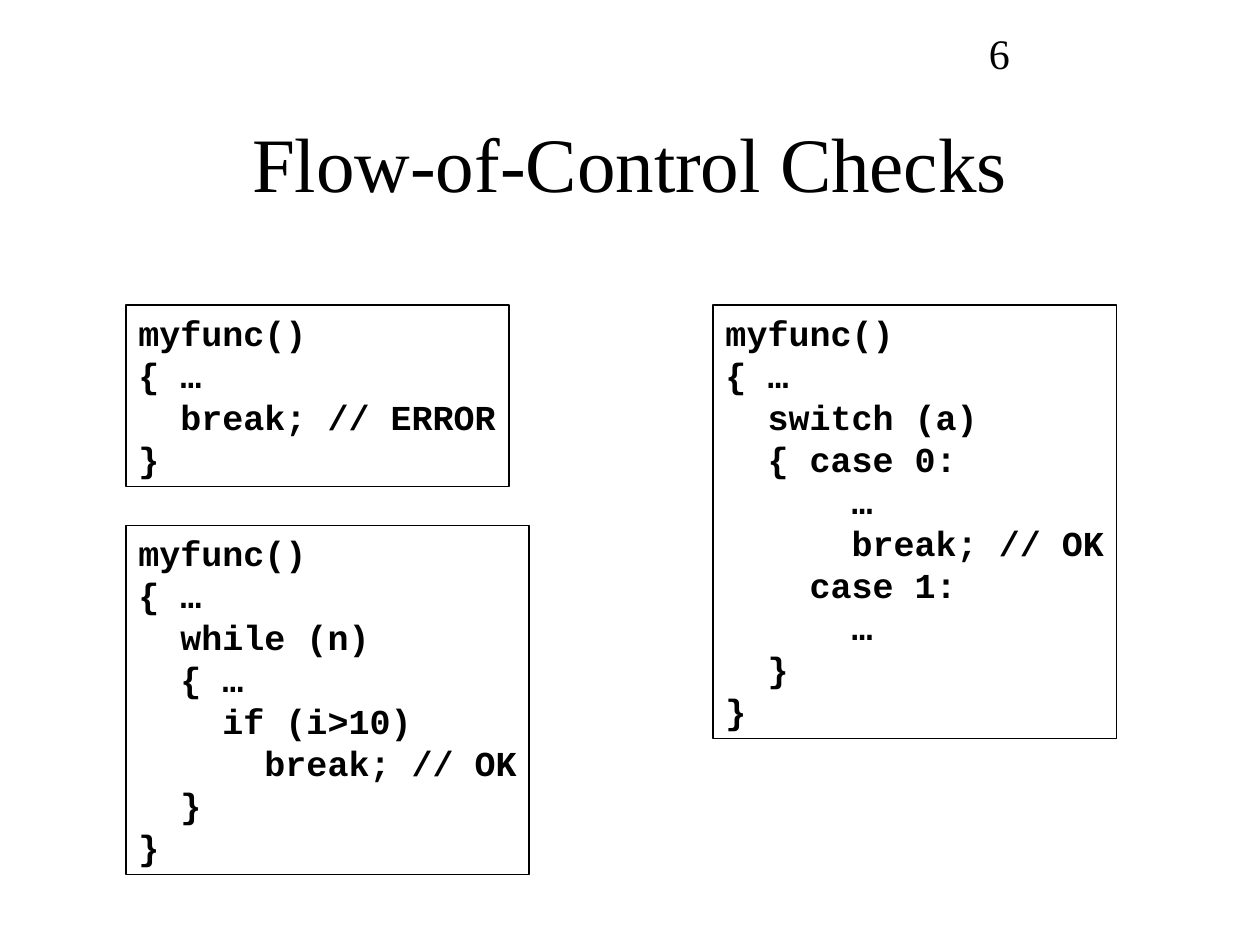
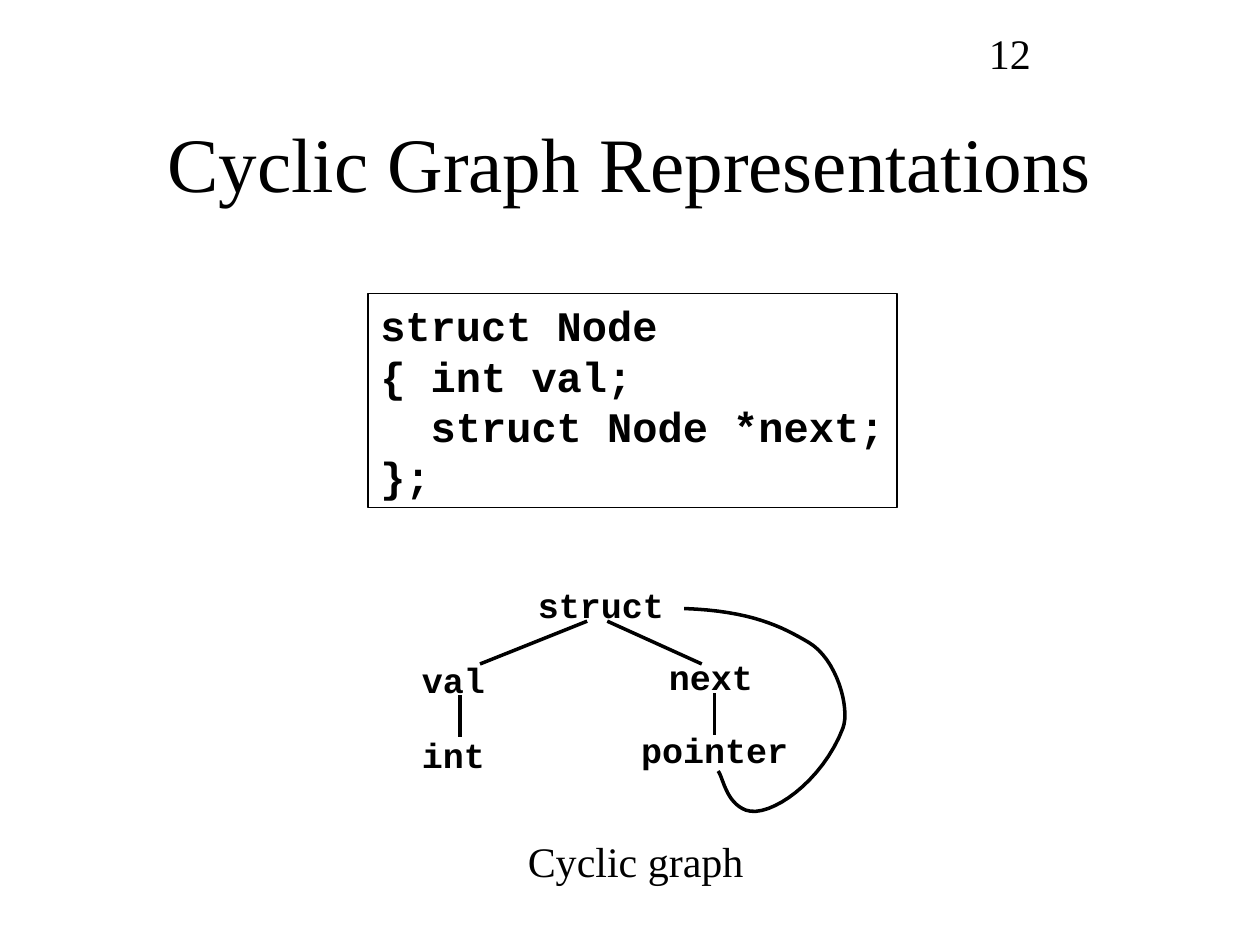
from pptx import Presentation
from pptx.dml.color import RGBColor
from pptx.enum import shapes, text
from pptx.oxml import parse_xml
from pptx.oxml.ns import nsdecls
from pptx.util import Inches, Pt

SERIF = "Times New Roman"
MONO = "Courier New"
INK = "000000"
PAPER = "FFFFFF"
CURVE_STEPS = 16

BREAK_ERROR = ["myfunc()\v{ …", "  break; // ERROR", "}"]
BREAK_IN_LOOP = ["myfunc()\v{ …", "  while (n)", "  { …", "    if (i>10)",
                 "      break; // OK", "  }", "}"]
BREAK_IN_SWITCH = ["myfunc()\v{ …", "  switch (a)\v  { case 0:",
                   "      …\v      break; // OK", "    case 1:", "      …", "  }", "}"]
NODE_STRUCT = ["struct Node\v{ int val;\v  struct Node *next;", "};"]

NODE_LABELS = [
    ("struct", 4.17, 4.58, 1.2),
    ("val", 3.25, 5.18, 0.7),
    ("int", 3.25, 5.77, 0.7),
    ("next", 5.21, 5.15, 0.87),
    ("pointer", 4.99, 5.73, 1.37),
]
EDGES = [
    ((4.66, 4.93), (3.81, 5.27)),
    ((4.82, 4.93), (5.57, 5.27)),
    ((3.65, 5.52), (3.65, 5.85)),
    ((5.67, 5.5), (5.67, 5.83)),
]
# Start point, then two control points and an end point per Bézier segment.
BACK_EDGE = [
    (5.7, 6.12),
    (5.74, 6.17), (5.76, 6.37), (5.92, 6.43),
    (6.11, 6.5), (6.53, 6.2), (6.69, 5.78),
    (6.75, 5.62), (6.64, 5.23), (6.42, 5.1),
    (6.2, 4.97), (5.96, 4.85), (5.43, 4.83),
]


def color(value):
    return RGBColor.from_string(value)


def set_line(line, width):
    line.color.rgb = color(INK)
    line.width = Pt(width)


def write(box, lines, size, font=SERIF, bold=False, align=text.PP_ALIGN.LEFT,
          anchor=text.MSO_ANCHOR.TOP, wrap=False):
    """Fill a box with one paragraph per line; a vertical tab breaks a line."""
    frame = box.text_frame
    frame.word_wrap = wrap
    frame.vertical_anchor = anchor
    frame.text = "\n".join(lines)
    for para in frame.paragraphs:
        para.alignment = align
        para.font.name = font
        para.font.size = Pt(size)
        para.font.bold = bold
        para.font.color.rgb = color(INK)


def add_label(page, words, left, top, width, height, size, **style):
    box = page.shapes.add_textbox(Inches(left), Inches(top), Inches(width), Inches(height))
    write(box, [words], size, **style)


def add_page(deck, title, number):
    """Add a blank page with its title and its page number."""
    page = deck.slides.add_slide(deck.slide_layouts[6])
    page.background.fill.solid()
    page.background.fill.fore_color.rgb = color(PAPER)
    add_label(page, title, 0.75, 0.66, 8.5, 1.25, 44, wrap=True,
              align=text.PP_ALIGN.CENTER, anchor=text.MSO_ANCHOR.MIDDLE)
    add_label(page, str(number), 7.75, 0.17, 2.08, 0.49, 24, wrap=True)
    return page


def add_code(page, lines, left, top, width, height, size=20):
    box = page.shapes.add_shape(shapes.MSO_SHAPE.RECTANGLE, Inches(left), Inches(top),
                                Inches(width), Inches(height))
    box.shadow.inherit = False
    box.fill.background()
    set_line(box.line, 0.75)
    write(box, lines, size, font=MONO, bold=True)


def add_edge(page, start, end):
    edge = page.shapes.add_connector(shapes.MSO_CONNECTOR.STRAIGHT,
                                     *(Inches(value) for value in start + end))
    set_line(edge.line, 2)
    edge._element.spPr.append(parse_xml(f"<a:effectLst {nsdecls('a')}/>"))


def bezier_point(corners, t):
    """Return the point at t on the cubic curve with these four corners."""
    weights = ((1 - t) ** 3, 3 * t * (1 - t) ** 2, 3 * t ** 2 * (1 - t), t ** 3)
    return tuple(sum(weight * corner[axis] for weight, corner in zip(weights, corners))
                 for axis in (0, 1))


def add_curve(page, points):
    """Draw an open curve through joined cubic segments."""
    track = [points[0]] + [bezier_point(points[first:first + 4], step / CURVE_STEPS)
                           for first in range(0, len(points) - 1, 3)
                           for step in range(1, CURVE_STEPS + 1)]
    start, *rest = [(Inches(x), Inches(y)) for x, y in track]
    builder = page.shapes.build_freeform(*start)
    builder.add_line_segments(rest, close=False)
    curve = builder.convert_to_shape()
    curve.shadow.inherit = False
    curve.fill.background()
    set_line(curve.line, 2)


def add_flow_checks(deck):
    page = add_page(deck, "Flow-of-Control Checks", 6)
    add_code(page, BREAK_ERROR, 1, 2.42, 3.04, 1.44)
    add_code(page, BREAK_IN_SWITCH, 5.66, 2.42, 3.2, 3.44)
    add_code(page, BREAK_IN_LOOP, 1, 4.17, 3.2, 2.77)


def add_cyclic_graph(deck):
    page = add_page(deck, "Cyclic Graph Representations", 12)
    add_code(page, NODE_STRUCT, 2.92, 2.33, 4.2, 1.7, size=24)
    for words, left, top, width in NODE_LABELS:
        add_label(page, words, left, top, width, 0.44, 20, font=MONO, bold=True)
    for start, end in EDGES:
        add_edge(page, start, end)
    add_curve(page, BACK_EDGE)
    add_label(page, "Cyclic graph", 4.09, 6.58, 1.91, 0.5, 24)


def main():
    deck = Presentation()
    deck.slide_width, deck.slide_height = Inches(10), Inches(7.5)
    add_flow_checks(deck)
    add_cyclic_graph(deck)
    deck.save("out.pptx")


if __name__ == "__main__":
    main()
